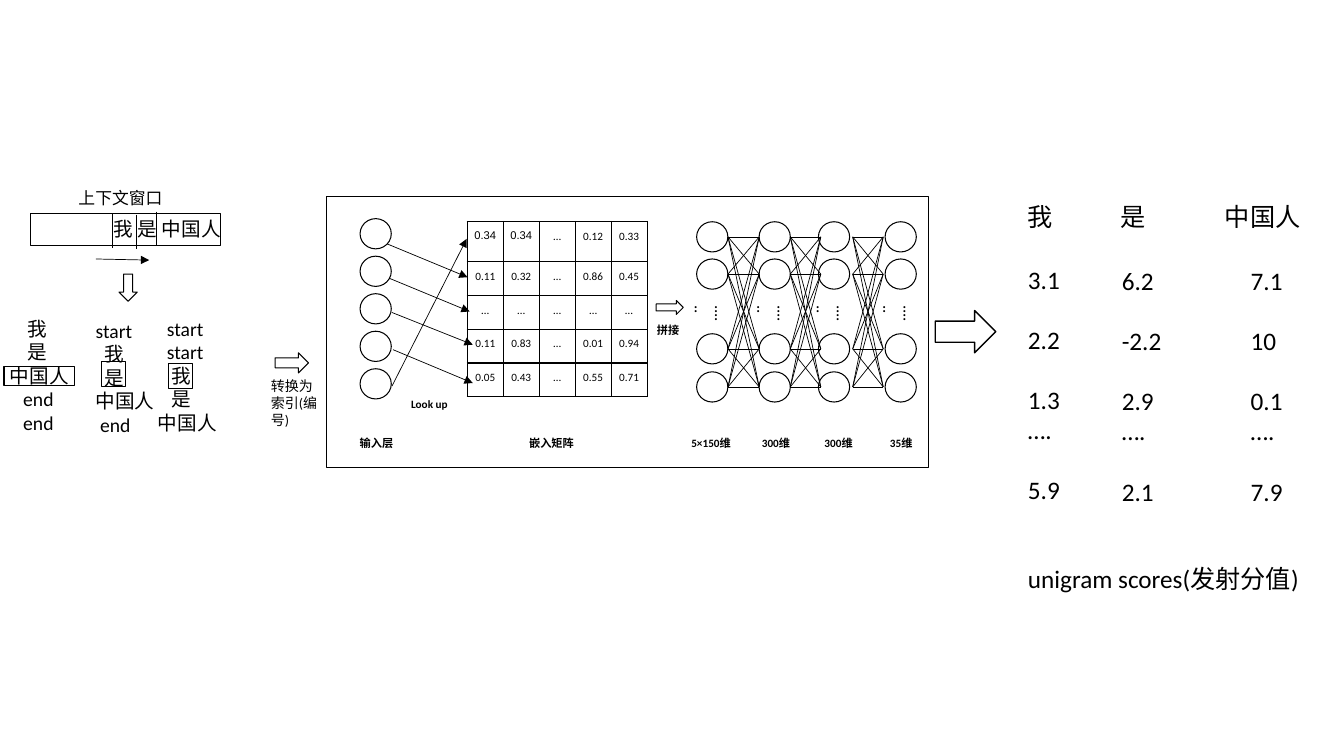
from itertools import product

from lxml import etree
from pptx import Presentation
from pptx.dml import color
from pptx.enum import shapes, text
from pptx.oxml import ns
from pptx.util import Pt

BLACK, WHITE = "000000", "FFFFFF"
NODE_W, NODE_H = 22.3, 21.6
LAYER_TOPS = [158.4, 185, 238.4, 265.6]
LAYERS = [
    (497.6, 486.7, "5×150维"),
    (542.2, 537.1, "300维"),
    (584.6, 581.8, "300维"),
    (632.2, 628.6, "35维"),
]
LAYER_GAPS = [(520, 542.3), (564.5, 586.3), (609.1, 630.9)]
LOOKUPS = [
    (276.5, 174.2, 334, 198),
    (277.9, 198.7, 335.5, 222.5),
    (280, 223.2, 337.7, 246.2),
    (280.8, 249.8, 337.7, 273.6),
    (280, 275.8, 333.4, 170.6),
]
EMBEDDING = [
    ["0.34", "0.34", "…", "0.12", "0.33"],
    ["0.11", "0.32", "…", "0.86", "0.45"],
    ["…", "…", "…", "…", "…"],
    ["0.11", "0.83", "…", "0.01", "0.94"],
    ["0.05", "0.43", "…", "0.55", "0.71"],
]
CONTEXTS = [
    (0, 222.5, 62, ["我", "是", "中国人", "end", "end"], [12.6, 12.6, 0, 9.5, 9.5]),
    (61.2, 223.9, 59.8, ["start", "我", "是", "中国人", "end"], [0, 6.3, 6.3, 0, 3.2]),
    (105.8, 222.5, 62.6, ["start", "start", "我", "是", "中国人"], [6.3, 6.3, 9.5, 9.5, 0]),
]
SCORES = [
    ("我", 727.2, 727.2, 185, ["3.1", "2.2", "1.3", "….", "5.9"]),
    ("是", 793.4, 794.2, 185.8, ["6.2", "-2.2", "2.9", "….", "2.1"]),
    ("中国人", 867.8, 886.3, 185.8, ["7.1", "10", "0.1", "….", "7.9"]),
]


def rgb(value):
    return color.RGBColor.from_string(value)


def style_run(run, size, font="Calibri", bold=False):
    run.font.size = Pt(size)
    run.font.name = font
    run.font.bold = bold
    run.font.color.rgb = rgb(BLACK)


def add_text(slide, box, *lines, size=8, bold=False, indents=(), gaps=(), vertical=False):
    frame = slide.shapes.add_textbox(*map(Pt, box)).text_frame
    frame.word_wrap = True
    frame.auto_size = text.MSO_AUTO_SIZE.SHAPE_TO_FIT_TEXT
    if vertical:
        frame._txBody.bodyPr.set("vert", "eaVert")
    for index, line in enumerate(lines):
        paragraph = frame.paragraphs[0] if index == 0 else frame.add_paragraph()
        run = paragraph.add_run()
        run.text = line
        style_run(run, size, bold=bold)
        if indents:
            paragraph._p.get_or_add_pPr().set("marL", str(Pt(indents[index])))
        if gaps:
            paragraph.space_before = Pt(gaps[index])


def add_outline(slide, kind, box, fill=None, width=0.75, rotation=0):
    outline = slide.shapes.add_shape(kind, *map(Pt, box))
    outline.shadow.inherit = False
    outline.rotation = rotation
    if fill:
        outline.fill.solid()
        outline.fill.fore_color.rgb = rgb(fill)
    else:
        outline.fill.background()
    outline.line.color.rgb = rgb(BLACK)
    outline.line.width = Pt(width)


def add_line(slide, ends, arrow=False):
    link = slide.shapes.add_connector(shapes.MSO_CONNECTOR.STRAIGHT, *map(Pt, ends))
    link.line.color.rgb = rgb(BLACK)
    link.line.width = Pt(0.5)
    if arrow:
        etree.SubElement(link.line._get_or_add_ln(), ns.qn("a:tailEnd"), type="triangle")
    etree.SubElement(link._element.spPr, ns.qn("a:effectLst"))


def add_node(slide, left, top):
    add_outline(slide, shapes.MSO_SHAPE.OVAL, (left, top, NODE_W, NODE_H))


def add_borders(cell):
    properties = cell._tc.get_or_add_tcPr()
    for position, side in enumerate(("lnL", "lnR", "lnT", "lnB")):
        border = etree.Element(ns.qn(f"a:{side}"), w=str(Pt(1)))
        fill = etree.SubElement(border, ns.qn("a:solidFill"))
        etree.SubElement(fill, ns.qn("a:srgbClr"), val=BLACK)
        properties.insert(position, border)


def add_embedding(slide):
    matrix = slide.shapes.add_table(5, 5, *map(Pt, (333.8, 158.2, 128.5, 125.2))).table
    matrix.first_row = matrix.horz_banding = False
    for index in range(5):
        matrix.columns[index].width = Pt(25.7)
        matrix.rows[index].height = Pt(24.1 if index else 28.8)
    for row, column in product(range(5), repeat=2):
        cell = matrix.cell(row, column)
        cell.fill.background()
        cell.margin_left = cell.margin_right = Pt(2.9)
        cell.margin_top, cell.margin_bottom = Pt(5.6), Pt(3.3)
        paragraph = cell.text_frame.paragraphs[0]
        paragraph.alignment = text.PP_ALIGN.CENTER
        run = paragraph.add_run()
        run.text = EMBEDDING[row][column]
        style_run(run, 8, font="Arial" if row == 0 and column < 2 else "Calibri")
        add_borders(cell)


def add_context_window(slide):
    kind = shapes.MSO_SHAPE
    add_text(slide, (74.2, 151.2, 133.2, 24.5), "我 是 中国人", size=14)
    add_text(slide, (49, 130.3, 76.3, 21.6), "上下文窗口", size=12)
    add_outline(slide, kind.RECTANGLE, (21.6, 152.6, 136.1, 23))
    for x, top in ((80.6, 152.6), (97.2, 153.4), (111.6, 151.2)):
        add_line(slide, (x, top, x, top + 24.5))
    add_line(slide, (68.4, 185, 106.6, 185.8), arrow=True)
    add_outline(slide, kind.DOWN_ARROW, (85, 195.8, 13, 19.4))
    for left, top, width, words, indents in CONTEXTS:
        add_text(slide, (left, top, width, 92.2), *words, size=14, indents=indents)
    for box in ((2.9, 262, 50.4, 13.7), (72.7, 258.5, 17.3, 17.3), (120.2, 260, 17.3, 17.3)):
        add_outline(slide, kind.RECTANGLE, box)
    add_outline(slide, kind.RIGHT_ARROW, (196.6, 252, 23.8, 14.4), fill=WHITE)
    add_text(slide, (186.5, 266.4, 48.2, 44), "转换为索引(编号)", size=10)


def add_network(slide):
    kind = shapes.MSO_SHAPE
    add_outline(slide, kind.RECTANGLE, (233.3, 140.4, 429.8, 193.7))
    for index in range(5):
        add_node(slide, 257.2, 156.2 + 26.8 * index)
    add_embedding(slide)
    for ends in LOOKUPS:
        add_line(slide, ends, arrow=True)
    add_text(slide, (249.8, 308.2, 39.6, 17.3), "输入层", bold=True)
    add_text(slide, (286.6, 280, 44.6, 17.3), "Look up", bold=True)
    add_text(slide, (370.8, 308.2, 46.8, 17.3), "嵌入矩阵", bold=True)
    add_outline(slide, kind.RIGHT_ARROW, (468.7, 214.6, 19.4, 10), fill=WHITE)
    add_text(slide, (462.2, 227.5, 44.6, 17.3), "拼接", bold=True)
    for left, label_left, dimension in LAYERS:
        for top in LAYER_TOPS:
            add_node(slide, left, top)
        add_text(slide, (left, 211, 28.8, 26.6), "......", size=12, vertical=True)
        add_text(slide, (label_left, 308.2, 46.8, 17.3), dimension, bold=True)
    centres = [top + NODE_H / 2 for top in LAYER_TOPS]
    for (start, end), source, target in product(LAYER_GAPS, centres, centres):
        add_line(slide, (start, source, end, target))


def add_scores(slide):
    add_outline(slide, shapes.MSO_SHAPE.DOWN_ARROW, (674.6, 215.3, 30.2, 43.2),
                fill=WHITE, width=1, rotation=270)
    for word, word_left, left, top, values in SCORES:
        add_text(slide, (word_left, 140.4, 76, 28.8), word, size=18)
        add_text(slide, (left, top, 43.2, 181.4), *values, size=18, gaps=(0, 21.4, 21.4, 0, 21.4))
    add_text(slide, (727.2, 398.9, 215.3, 28.8), "unigram scores(发射分值)", size=18)


def main():
    deck = Presentation()
    deck.slide_width, deck.slide_height = Pt(960), Pt(540)
    slide = deck.slides.add_slide(deck.slide_layouts[6])
    add_context_window(slide)
    add_network(slide)
    add_scores(slide)
    deck.save("out.pptx")


if __name__ == "__main__":
    main()
